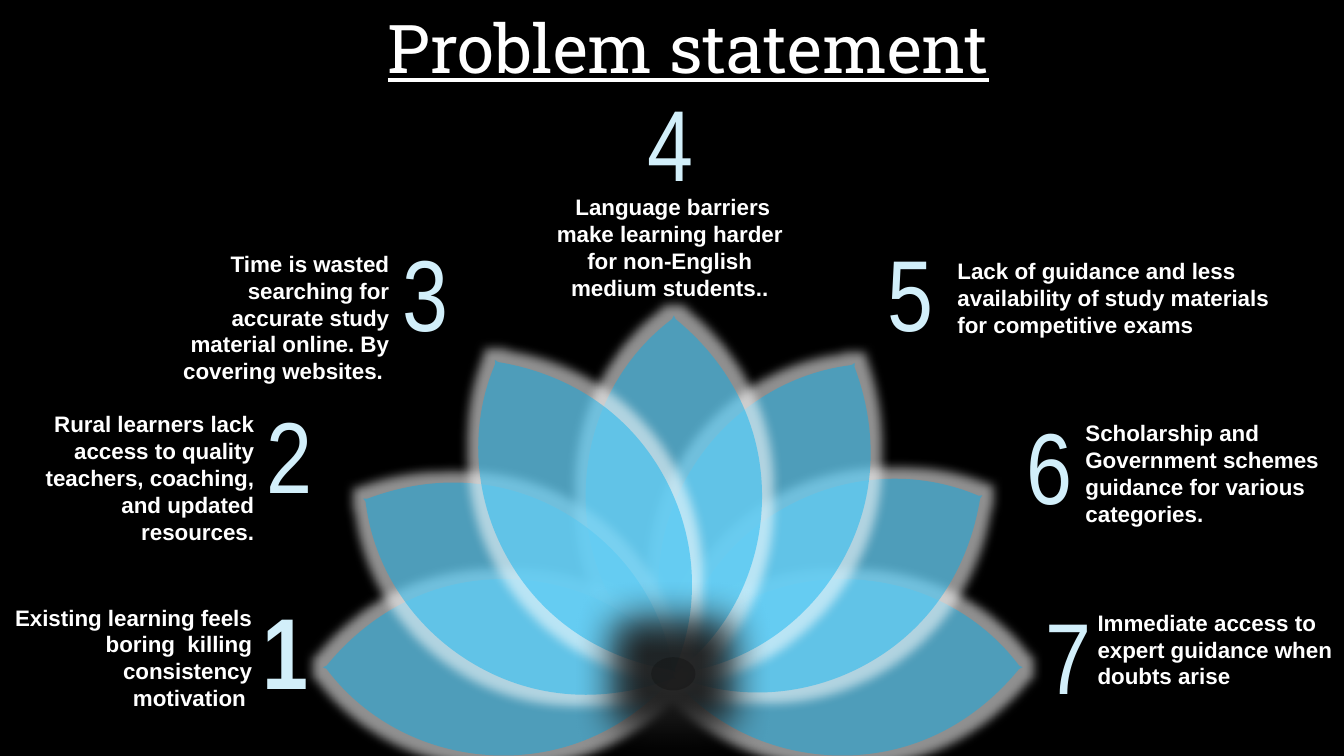
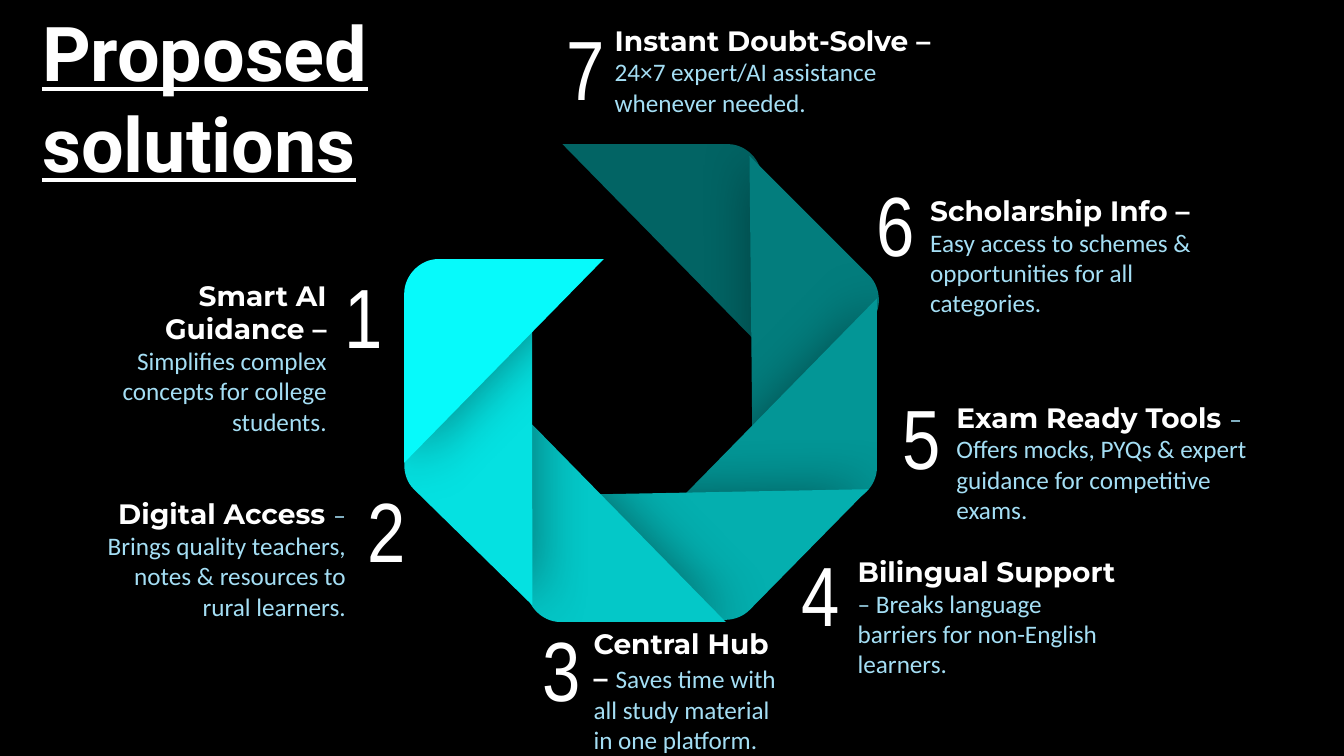
import lxml.etree
import pptx
import pptx.dml.color
import pptx.enum.shapes
import pptx.enum.text
import pptx.oxml.ns
import pptx.util

Inches = pptx.util.Inches
Align = pptx.enum.text.PP_ALIGN
LEFT, CENTER, RIGHT = Align.LEFT, Align.CENTER, Align.RIGHT

COLORS = {
    "background": "000000",
    "text": "FFFFFF",
    "number": "D2EFFA",
    "detail": "A4DEF4",
    "petal": "00B0F0",
    "core": "0D0D0D",
    "core glow": "1C1C1C",
    "shadow": "000000",
    "ribbon 1": "06FAFB",
    "ribbon 2": "05E1E1",
    "ribbon 3": "04C8C8",
    "ribbon 4": "04AFAF",
    "ribbon 5": "039696",
    "ribbon 6": "037D7D",
    "ribbon 7": "026464",
}

# Outlines in a unit square: one point makes a line, three make a curve
PETAL_SIDE = [
    [(0.51, 0.01)],
    [(0.81, 0.13), (1, 0.3), (1, 0.5)],
    [(1, 0.7), (0.81, 0.88), (0.51, 0.99)],
    [(0.5, 1)],
]
PETAL = [[(0.5, 0)]] + PETAL_SIDE + [
    [(1 - x, 1 - y) for x, y in segment] for segment in PETAL_SIDE[:-1]]
RIBBON = [
    [(0.17, 0)],
    [(1, 0)],
    [(0, 1)],
    [(0, 0.17)],
    [(0, 0.08), (0.08, 0), (0.17, 0)],
]


class Deck:
    """Shared style and the slide being filled."""

    def __init__(self):
        self.presentation = pptx.Presentation()
        self.presentation.slide_width = Inches(40 / 3)
        self.presentation.slide_height = Inches(7.5)
        self.slide = None

    def color(self, name):
        return pptx.dml.color.RGBColor.from_string(COLORS[name])

    def add_slide(self):
        self.slide = self.presentation.slides.add_slide(
            self.presentation.slide_layouts[6])
        fill = self.slide.background.fill
        fill.solid()
        fill.fore_color.rgb = self.color("background")

    def text(self, box, runs, align=LEFT):
        """Each run is (text, size, font, color, bold, underline)."""
        shape = self.slide.shapes.add_textbox(*map(Inches, box))
        frame = shape.text_frame
        frame.word_wrap = True
        frame.auto_size = pptx.enum.text.MSO_AUTO_SIZE.SHAPE_TO_FIT_TEXT
        paragraph = frame.paragraphs[0]
        paragraph.alignment = align
        for text, size, font, color, bold, underline in runs:
            run = paragraph.add_run()
            run.text = text
            run.font.size = pptx.util.Pt(size)
            run.font.name = font
            run.font.bold = bold
            run.font.underline = underline
            run.font.color.rgb = self.color(color)

    def title(self, box, text, size, font, bold=False, align=LEFT):
        runs = [(text, size, font, "text", bold, True)]
        if align == CENTER:
            runs.append((" ", 40, font, "text", bold, False))
        self.text(box, runs, align)

    def number(self, box, value, size, color, bold=False):
        self.text(box, [(str(value), size, "Arial Narrow", color, bold, False)])

    def problem(self, box, text, align):
        self.text(box, [(text, 16, "Arial", "text", True, False)], align)

    def solution(self, box, heading, detail, align):
        self.text(box, [(heading, 20, "Montserrat", "text", True, False),
                        (detail, 18, "Calibri", "detail", False, False)], align)

    def paint(self, shape, color, opacity=100):
        shape.shadow.inherit = False
        shape.fill.solid()
        shape.fill.fore_color.rgb = self.color(color)
        shape.line.fill.background()
        if opacity < 100:
            solid = shape.element.spPr.find(pptx.oxml.ns.qn("a:solidFill"))
            self.child(solid[0], "a:alpha", val=opacity * 1000)

    def child(self, parent, tag, **attributes):
        element = lxml.etree.SubElement(parent, pptx.oxml.ns.qn(tag))
        for name, value in attributes.items():
            element.set(name, str(value))
        return element

    def effect(self, shape, tag, color, opacity, **attributes):
        effects = shape.element.spPr.find(pptx.oxml.ns.qn("a:effectLst"))
        effect = self.child(effects, tag, **attributes)
        tint = self.child(effect, "a:srgbClr", val=COLORS[color])
        self.child(tint, "a:alpha", val=opacity * 1000)

    def glow(self, shape, color, opacity, radius):
        self.effect(shape, "a:glow", color, opacity, rad=pptx.util.Pt(radius))

    def bend(self, shape, segments):
        """Turn the lines through each three-point segment into one curve."""
        lines = iter(list(shape.element.iter(pptx.oxml.ns.qn("a:lnTo"))))
        for segment in segments:
            group = [next(lines) for _ in segment]
            if len(group) == 3:
                group[0].tag = pptx.oxml.ns.qn("a:cubicBezTo")
                for line in group[1:]:
                    group[0].append(line[0])
                    line.getparent().remove(line)

    def outline(self, segments, box, rotation, color, opacity=100):
        grid = [(round(x * 1000), round(y * 1000))
                for segment in segments for x, y in segment]
        builder = self.slide.shapes.build_freeform(*grid[0], scale=Inches(1) / 1000)
        builder.add_line_segments(grid[1:], close=True)
        shape = builder.convert_to_shape()
        self.bend(shape, segments[1:])
        shape.left, shape.top, shape.width, shape.height = map(Inches, box)
        shape.rotation = rotation
        self.paint(shape, color, opacity)
        return shape

    def petal(self, left, top, rotation):
        shape = self.outline(PETAL, (left, top, 1.75, 3.58), rotation, "petal", 45)
        self.glow(shape, "text", 56, 15)

    def core(self, box):
        shape = self.slide.shapes.add_shape(
            pptx.enum.shapes.MSO_SHAPE.FLOWCHART_CONNECTOR, *map(Inches, box))
        self.paint(shape, "core", 32)
        self.glow(shape, "core glow", 95, 56)

    def ribbon(self, box, rotation, color):
        shape = self.outline(RIBBON, box, rotation, color)
        self.effect(shape, "a:outerShdw", "shadow", 40,
                    blurRad=pptx.util.Pt(40), dist=pptx.util.Pt(3), dir=0,
                    algn="l", rotWithShape=0)


def problem_slide(deck):
    deck.add_slide()

    # Lotus, back to front
    for left, top, rotation in (
            (7.48, 4.83, 90), (7.32, 4.02, 60), (6.71, 3.36, 30), (5.81, 3.13, 0),
            (4.12, 4.83, 270), (4.28, 4.05, 300), (4.93, 3.33, 330)):
        deck.petal(left, top, rotation)
    deck.core((6.46, 6.52, 0.44, 0.33))

    deck.title((3, 0.01, 7.8, 0.91), "Problem statement", 48, "Roboto Slab",
               align=CENTER)

    # Number left, top and width, then text box, text, alignment
    problems = (
        ((2.51, 5.79, 2.09), (0.03, 5.94, 2.57, 1.18),
         "Existing learning feels boring  killing consistency motivation ", RIGHT),
        ((2.55, 3.85, 2.66), (0.05, 4.02, 2.57, 1.45),
         "Rural learners lack access to quality teachers, coaching, "
         "and updated resources.", RIGHT),
        ((3.89, 2.24, 1.78), (1.39, 2.43, 2.57, 1.45),
         "Time is wasted searching for accurate study material online. "
         "By covering websites. ", RIGHT),
        ((6.33, 0.75, 1.78), (5.36, 1.87, 2.57, 1.18),
         " Language barriers make learning harder for non-English "
         "medium students..", CENTER),
        ((8.71, 2.24, 1.85), (9.4, 2.5, 3.59, 0.91),
         "Lack of guidance and less availability of study materials "
         "for competitive exams", LEFT),
        ((10.09, 3.96, 1.78), (10.67, 4.11, 2.57, 1.18),
         "Scholarship and Government schemes guidance for various categories.", LEFT),
        ((10.27, 5.84, 1.91), (10.79, 5.99, 2.57, 0.91),
         "Immediate access to expert guidance when doubts arise", LEFT),
    )
    for value, (place, box, text, align) in enumerate(problems, 1):
        deck.problem(box, text, align)
        deck.number((*place, 1.31), value, 72, "number", bold=value == 1)


def solution_slide(deck):
    deck.add_slide()

    # Ribbon ring, back to front
    ribbons = (
        ((5.56, 1.45, 2.02, 1.98), 90),
        ((6.46, 1.95, 1.98, 2.02), 135),
        ((6.72, 2.96, 1.98, 2.02), 180),
        ((6.21, 3.87, 1.98, 2.02), 224.5),
        ((5.2, 4.17, 2.02, 1.98), 270),
        ((4.27, 3.6, 2.02, 1.98), 314.4),
        ((4.01, 2.57, 1.98, 2.02), 0),
    )
    for index, (box, rotation) in enumerate(ribbons):
        deck.ribbon(box, rotation, f"ribbon {len(ribbons) - index}")

    # Number box, then text box, heading, detail, alignment
    solutions = (
        ((3.32, 2.57, 1.16, 1.02), (0.51, 2.71, 2.83, 1.99), "Smart AI Guidance – ",
         "Simplifies complex concepts for college students.", RIGHT),
        ((3.55, 4.7, 1.16, 1.02), (0.96, 4.88, 2.57, 1.95), "Digital Access ",
         "– Brings quality teachers, notes & resources to rural learners.", RIGHT),
        ((5.28, 6.08, 1.16, 1.02), (5.79, 6.17, 2.12, 1.68), "Central Hub – ",
         "Saves time with all study material in one platform.", LEFT),
        ((7.85, 5.33, 1.16, 1.02), (8.41, 5.45, 2.85, 1.65), "Bilingual Support",
         " – Breaks language barriers for non-English learners.", LEFT),
        ((8.86, 3.78, 1.16, 1.02), (9.39, 3.92, 3.14, 1.35), "Exam Ready Tools ",
         "– Offers mocks, PYQs & expert guidance for competitive exams.", LEFT),
        ((8.6, 1.66, 1.16, 1.02), (9.13, 1.87, 3.14, 1.35), "Scholarship Info –",
         " Easy access to schemes & opportunities for all categories.", LEFT),
        ((5.52, 0.11, 1.22, 1.11), (6, 0.18, 3.62, 1.04), "Instant Doubt-Solve –",
         " 24×7 expert/AI assistance whenever needed.", LEFT),
    )
    for value, (place, *_) in enumerate(solutions, 1):
        deck.number(place, value, 60, "text")
    for _, box, heading, detail, align in solutions:
        deck.solution(box, heading, detail, align)

    deck.title((0.32, 0.01, 4.74, 1.92), "Proposed solutions", 54, "Roboto", bold=True)


def main():
    deck = Deck()
    problem_slide(deck)
    solution_slide(deck)
    deck.presentation.save("out.pptx")


if __name__ == "__main__":
    main()
